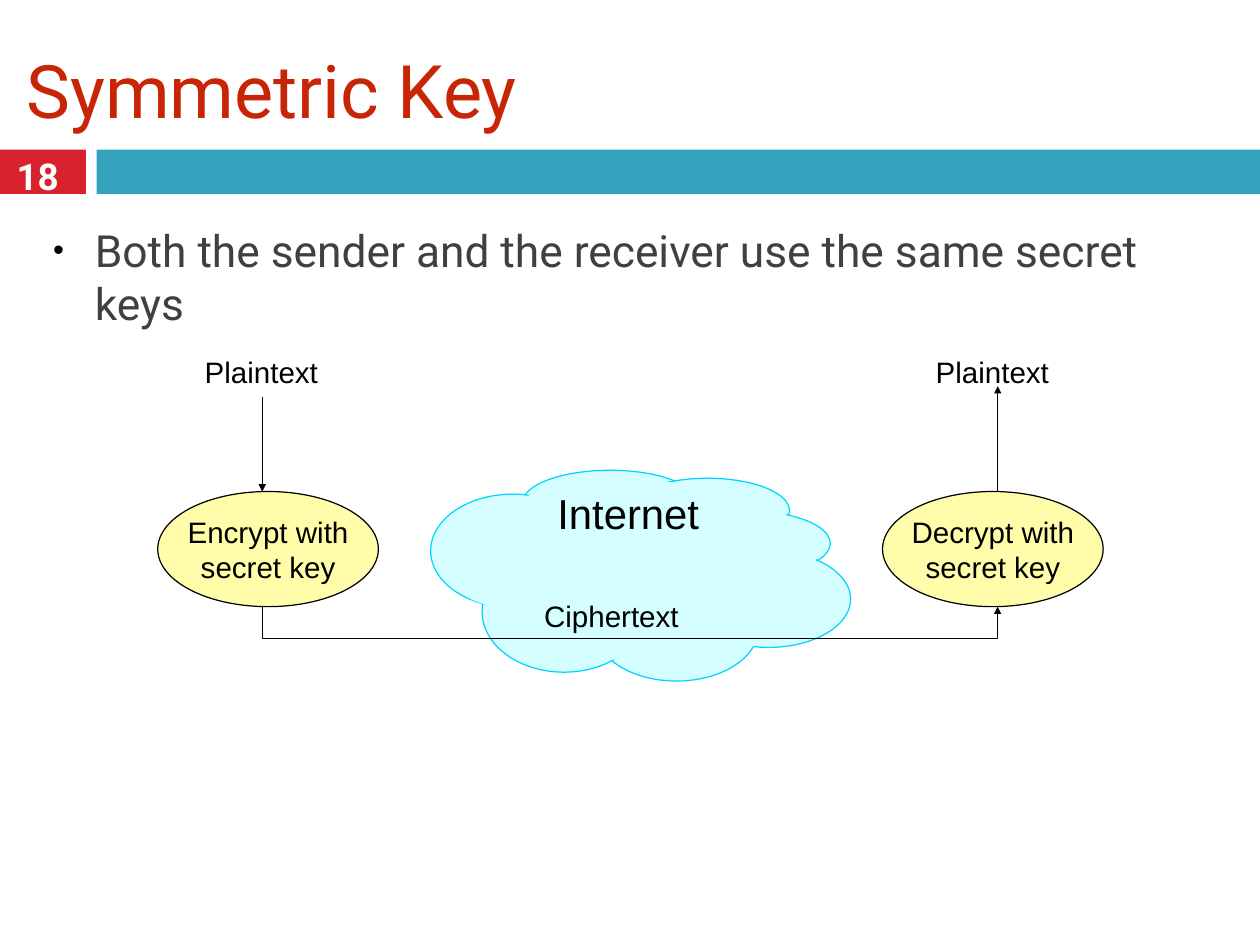
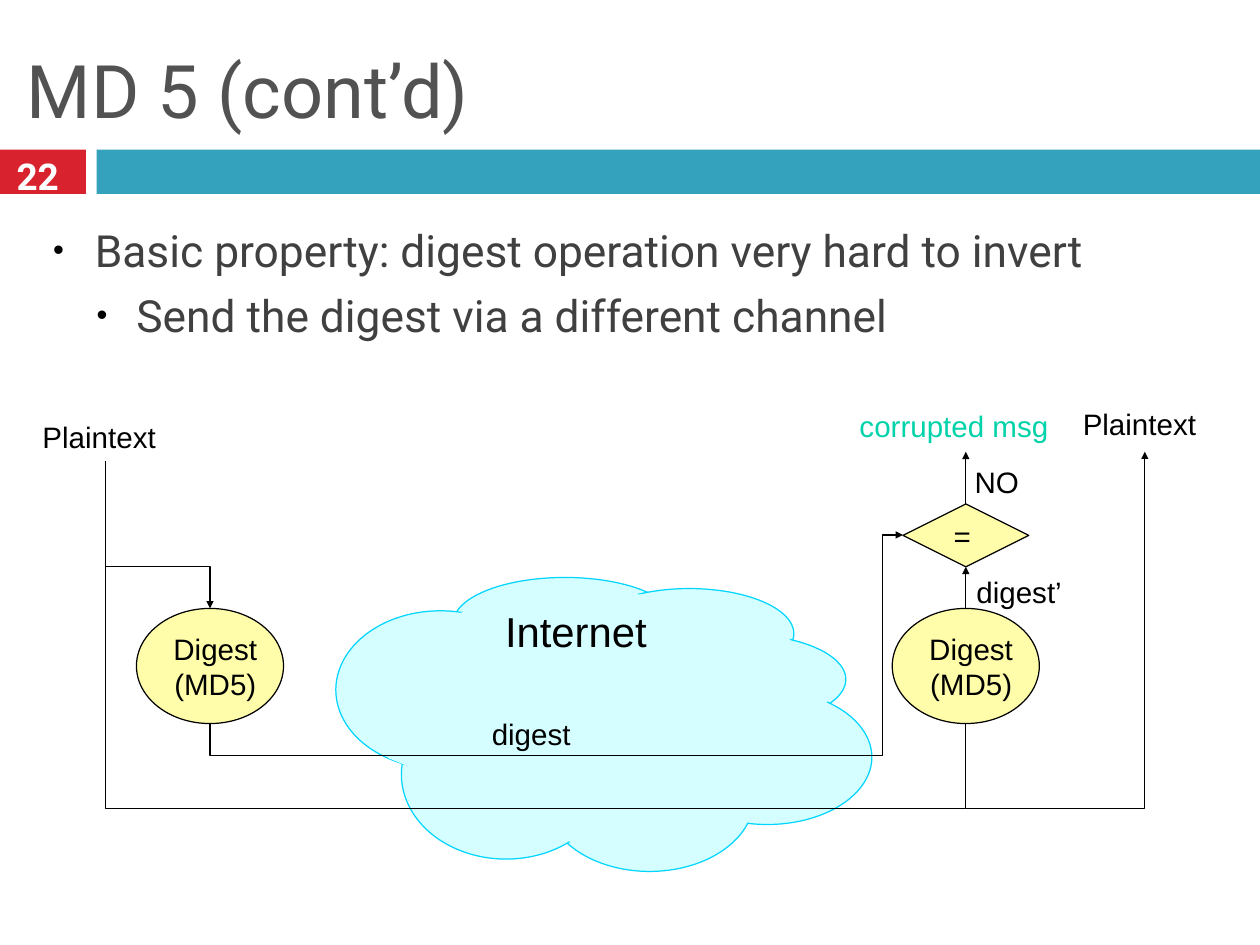
from dataclasses import dataclass

from lxml.etree import SubElement
from pptx import Presentation
from pptx.dml.color import RGBColor
from pptx.enum.shapes import MSO_CONNECTOR, MSO_SHAPE
from pptx.enum.text import MSO_ANCHOR, MSO_AUTO_SIZE, PP_ALIGN
from pptx.oxml.ns import qn
from pptx.util import Pt

EMU_PER_PX = 9144  # 100 px to the inch


def px(*lengths):
    return [round(length * EMU_PER_PX) for length in lengths]


@dataclass(frozen=True)
class Theme:
    heading_font: str = "Roboto"
    diagram_font: str = "Arial"
    title_size: int = 60
    body_size: int = 36
    number_size: int = 30
    label_size: int = 24
    cloud_size: int = 34
    title_red: str = "C82506"
    title_grey: str = "525252"
    body: str = "404040"
    number: str = "FEFEFE"
    number_band: str = "D8232F"
    title_band: str = "35A2BD"
    ink: str = "000000"
    node: str = "FFFDA9"
    cloud: str = "D4FEFF"
    cloud_edge: str = "00D5FF"
    alert: str = "00D2A9"
    line_width: int = 1


THEME = Theme()

# (indent, hanging, space before in points) for each list level
LIST_LEVELS = ((47, -47, 25), (94, -45, 10))

# The cloud is drawn on a grid of this size and stretched to its box.
CLOUD_GRID = (474, 238)
CLOUD_PUFFS = (
    (104, 0, 197, 73), (220, 9, 185, 73), (266, 46, 185, 73), (289, 91, 185, 109),
    (185, 119, 185, 119), (58, 91, 185, 137), (0, 27, 185, 128),
)
CLOUD_CORE = (
    (58, 46), (139, 19), (208, 9), (347, 19), (393, 37), (416, 73),
    (439, 82), (416, 183), (266, 228), (116, 192), (70, 155), (46, 146),
)


class Deck:
    def __init__(self, theme):
        self.theme = theme
        self.presentation = Presentation()
        self.presentation.slide_width, self.presentation.slide_height = px(1422, 1067)
        self.layout = self.presentation.slide_layouts[1]
        self.slide = None

    def add_slide(self, title, title_color, number, bullets):
        first = self.slide is None
        self.slide = self.presentation.slides.add_slide(self.layout)
        if first:
            self.add_layout_bands()
        self.set_title(title, title_color)
        self.set_bullets(bullets)
        self.label(str(number), (3, 167, 79, 61), font_name=self.theme.heading_font,
                   size=self.theme.number_size, color=self.theme.number,
                   bold=True, centred=True, insets=(6, 6, 6, 6))

    def add_layout_bands(self):
        """Swap the layout's footer placeholders for the two bands all slides share."""
        for placeholder in list(self.layout.placeholders):
            if placeholder.placeholder_format.idx > 1:
                placeholder.element.getparent().remove(placeholder.element)
        for box, color in (((-12, 169, 109, 50), self.theme.number_band),
                           ((109, 169, 1314, 50), self.theme.title_band)):
            band = self.filled(self.slide.shapes, MSO_SHAPE.RECTANGLE, box, color)
            self.layout.shapes.element.append(band.element)

    def place(self, shape, box):
        shape.left, shape.top, shape.width, shape.height = px(*box)

    def set_insets(self, frame, insets):
        (frame.margin_left, frame.margin_top,
         frame.margin_right, frame.margin_bottom) = px(*insets)

    def set_font(self, paragraph, name, size, color, bold=False):
        font = paragraph.font
        font.name, font.size, font.bold = name, Pt(size), bold
        font.color.rgb = RGBColor.from_string(color)

    def set_title(self, text, color):
        title = self.slide.shapes.title
        self.place(title, (24, 10, 1375, 181))
        frame = title.text_frame
        frame.text = text
        frame.auto_size = MSO_AUTO_SIZE.NONE
        frame.vertical_anchor = MSO_ANCHOR.MIDDLE
        self.set_insets(frame, (6, 6, 6, 6))
        frame.paragraphs[0].alignment = PP_ALIGN.LEFT
        self.set_font(frame.paragraphs[0], self.theme.heading_font,
                      self.theme.title_size, color)

    def set_bullets(self, bullets):
        """Fill the body with one line per item, each a level deeper."""
        body = self.slide.placeholders[1]
        self.place(body, (54, 246, 1314, 766))
        frame = body.text_frame
        frame.text = "\n".join(bullets)
        frame.auto_size = MSO_AUTO_SIZE.NONE
        self.set_insets(frame, (6, 6, 6, 6))
        for level, paragraph in enumerate(frame.paragraphs):
            indent, hanging, space_before = LIST_LEVELS[level]
            paragraph.level = level
            paragraph.space_before = Pt(space_before)
            self.set_bullet(paragraph, indent, hanging)
            self.set_font(paragraph, self.theme.heading_font,
                          self.theme.body_size, self.theme.body)

    def set_bullet(self, paragraph, indent, hanging):
        properties = paragraph._p.get_or_add_pPr()
        for name, length in zip(("marL", "indent"), px(indent, hanging)):
            properties.set(name, str(length))
        color = SubElement(properties, qn("a:buClr"))
        SubElement(color, qn("a:srgbClr"), val=self.theme.ink)
        SubElement(properties, qn("a:buSzPct"), val="70000")
        SubElement(properties, qn("a:buFont"), typeface=self.theme.diagram_font)
        SubElement(properties, qn("a:buChar"), char="•")

    def set_line(self, shape, color, arrow=False):
        shape.line.color.rgb = RGBColor.from_string(color)
        shape.line.width = Pt(self.theme.line_width)
        if arrow:
            outline = shape.element.spPr.find(qn("a:ln"))
            SubElement(outline, qn("a:tailEnd"), type="triangle")

    def set_fill(self, shape, fill, line=None):
        shape.shadow.inherit = False
        shape.fill.solid()
        shape.fill.fore_color.rgb = RGBColor.from_string(fill)
        if line:
            self.set_line(shape, line)
        else:
            shape.line.fill.background()

    def filled(self, shapes, kind, box, fill, line=None):
        shape = shapes.add_shape(kind, *px(*box))
        self.set_fill(shape, fill, line)
        return shape

    def label(self, text, box, font_name=None, size=None, color=None,
              bold=False, centred=False, insets=(12, 8, 8, 8)):
        frame = self.slide.shapes.add_textbox(*px(*box)).text_frame
        frame.text = text
        frame.word_wrap = False
        frame.auto_size = MSO_AUTO_SIZE.SHAPE_TO_FIT_TEXT
        self.set_insets(frame, insets)
        paragraph = frame.paragraphs[0]
        paragraph.alignment = PP_ALIGN.CENTER if centred else PP_ALIGN.LEFT
        self.set_font(paragraph, font_name or self.theme.diagram_font,
                      size or self.theme.label_size, color or self.theme.ink, bold)

    def node(self, text, box, kind=MSO_SHAPE.OVAL, shift=0):
        """Add a captioned step; shift moves its caption sideways."""
        shape = self.filled(self.slide.shapes, kind, box, self.theme.node, self.theme.ink)
        frame = shape.text_frame
        frame.text = text
        frame.word_wrap = False
        frame.vertical_anchor = MSO_ANCHOR.MIDDLE
        self.set_insets(frame, (max(2 * shift, 0), 0, max(-2 * shift, 0), 0))
        for paragraph in frame.paragraphs:
            paragraph.alignment = PP_ALIGN.CENTER
            self.set_font(paragraph, self.theme.diagram_font,
                          self.theme.label_size, self.theme.ink)
        return shape

    def cloud(self, box, label_box):
        left, top, width, height = box
        scale_x, scale_y = width / CLOUD_GRID[0], height / CLOUD_GRID[1]
        shapes = self.slide.shapes.add_group_shape().shapes
        for x, y, puff_width, puff_height in CLOUD_PUFFS:
            puff = (left + x * scale_x, top + y * scale_y,
                    puff_width * scale_x, puff_height * scale_y)
            self.filled(shapes, MSO_SHAPE.OVAL, puff,
                        self.theme.cloud, self.theme.cloud_edge)
        points = [(round(left + x * scale_x), round(top + y * scale_y))
                  for x, y in CLOUD_CORE]
        builder = shapes.build_freeform(*points[0], scale=EMU_PER_PX)
        builder.add_line_segments(points[1:], close=True)
        self.set_fill(builder.convert_to_shape(), self.theme.cloud)
        self.label("Internet", label_box, size=self.theme.cloud_size)

    def arrow(self, start, end, source=None, target=None):
        """Add a straight arrow, joined to the top of source and bottom of target."""
        connector = self.slide.shapes.add_connector(
            MSO_CONNECTOR.STRAIGHT, *px(*start, *end))
        if source:
            connector.begin_connect(source, 0)
        if target:
            connector.end_connect(target, 2)
        self.set_line(connector, self.theme.ink, arrow=True)
        SubElement(connector.element.spPr, qn("a:effectLst"))

    def route(self, *points, arrow=True):
        """Add an open line with corners."""
        builder = self.slide.shapes.build_freeform(*points[0], scale=EMU_PER_PX)
        builder.add_line_segments(points[1:], close=False)
        shape = builder.convert_to_shape()
        shape.shadow.inherit = False
        shape.fill.background()
        self.set_line(shape, self.theme.ink, arrow)


def build_symmetric_key(deck):
    deck.add_slide("Symmetric Key", deck.theme.title_red, 18,
                   ["Both the sender and the receiver use the same secret keys"])
    deck.cloud((486, 531, 474, 238), (617, 543, 185, 69))
    deck.node("Encrypt with\nsecret key", (178, 555, 249, 130))
    deck.node("Decrypt with\nsecret key", (996, 555, 249, 130))
    deck.label("Plaintext", (219, 392, 160, 56))
    deck.label("Plaintext", (1044, 392, 160, 56))
    deck.arrow((296, 448), (296, 555))
    deck.route((296, 685), (296, 721), (1126, 721), (1126, 685))
    deck.arrow((1126, 555), (1126, 436))
    deck.label("Ciphertext", (602, 667, 186, 56))


def build_digest(deck):
    deck.add_slide("MD 5 (cont’d)", deck.theme.title_grey, 22,
                   ["Basic property: digest operation very hard to invert",
                    "Send the digest via a different channel"])
    deck.cloud((379, 652, 605, 332), (558, 676, 185, 69))
    _, receiver = [deck.node("Digest\n(MD5)", (left, 687, 166, 130), shift=6)
                   for left in (154, 1007)]
    comparison = deck.node("=", (1019, 569, 142, 71), MSO_SHAPE.DIAMOND, shift=-4)

    deck.route((119, 521), (119, 913), (1090, 913), (1090, 817), arrow=False)
    deck.route((119, 640), (237, 640), (237, 687))
    deck.route((237, 817), (237, 853), (996, 853), (996, 604), (1019, 604))
    deck.route((1090, 913), (1292, 913), (1292, 510))
    deck.arrow((1090, 687), (1090, 640), source=receiver, target=comparison)
    deck.arrow((1090, 569), (1090, 510), source=comparison)

    for text, box in (
        ("Plaintext", (36, 465, 160, 56)),
        ("digest", (543, 800, 119, 56)),
        ("digest’", (1090, 640, 127, 56)),
        ("NO", (1088, 516, 77, 56)),
        ("Plaintext", (1210, 450, 160, 56)),
    ):
        deck.label(text, box)
    deck.label("corrupted msg", (958, 453, 251, 56), color=deck.theme.alert)


def main():
    deck = Deck(THEME)
    build_symmetric_key(deck)
    build_digest(deck)
    deck.presentation.save("out.pptx")


if __name__ == "__main__":
    main()
